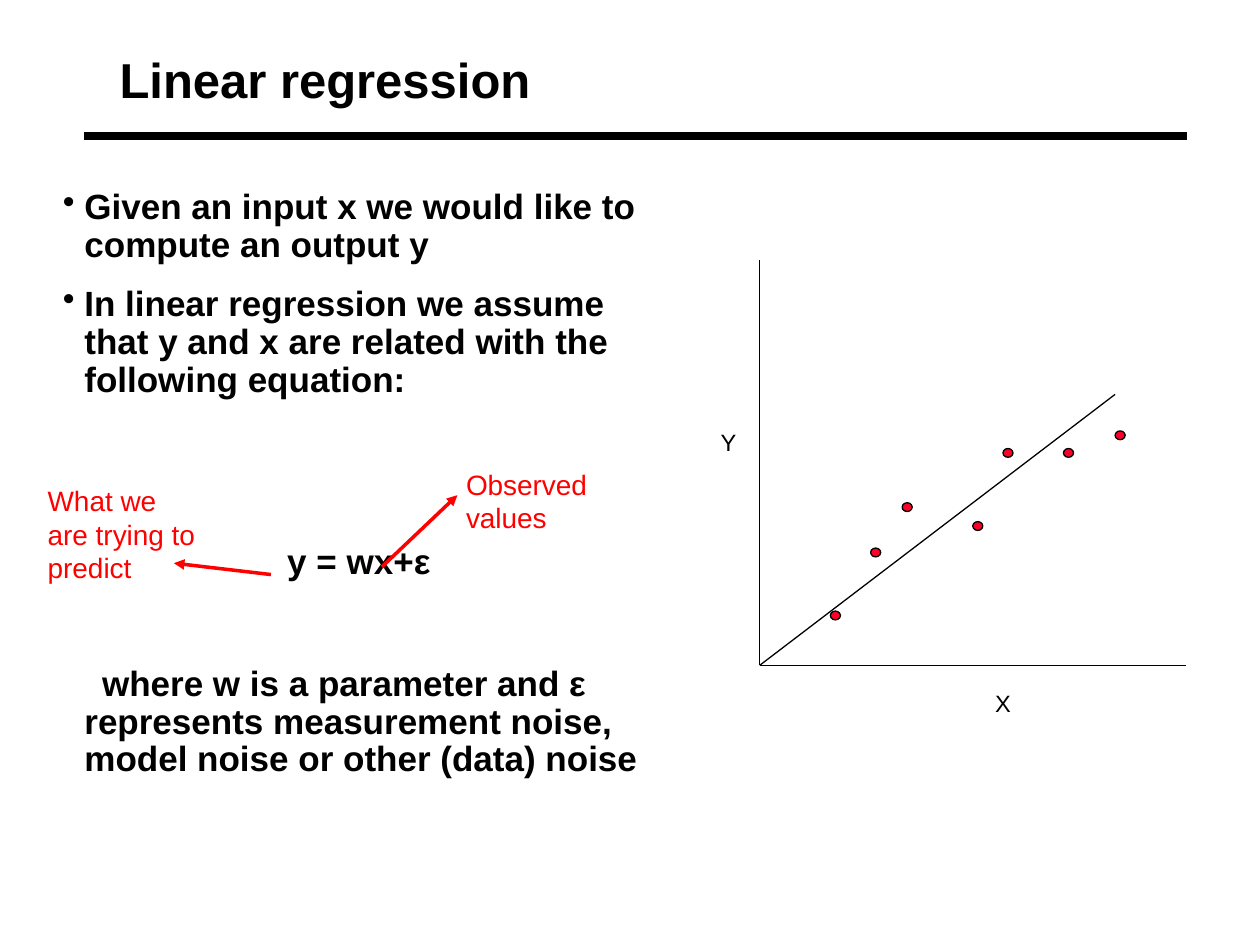
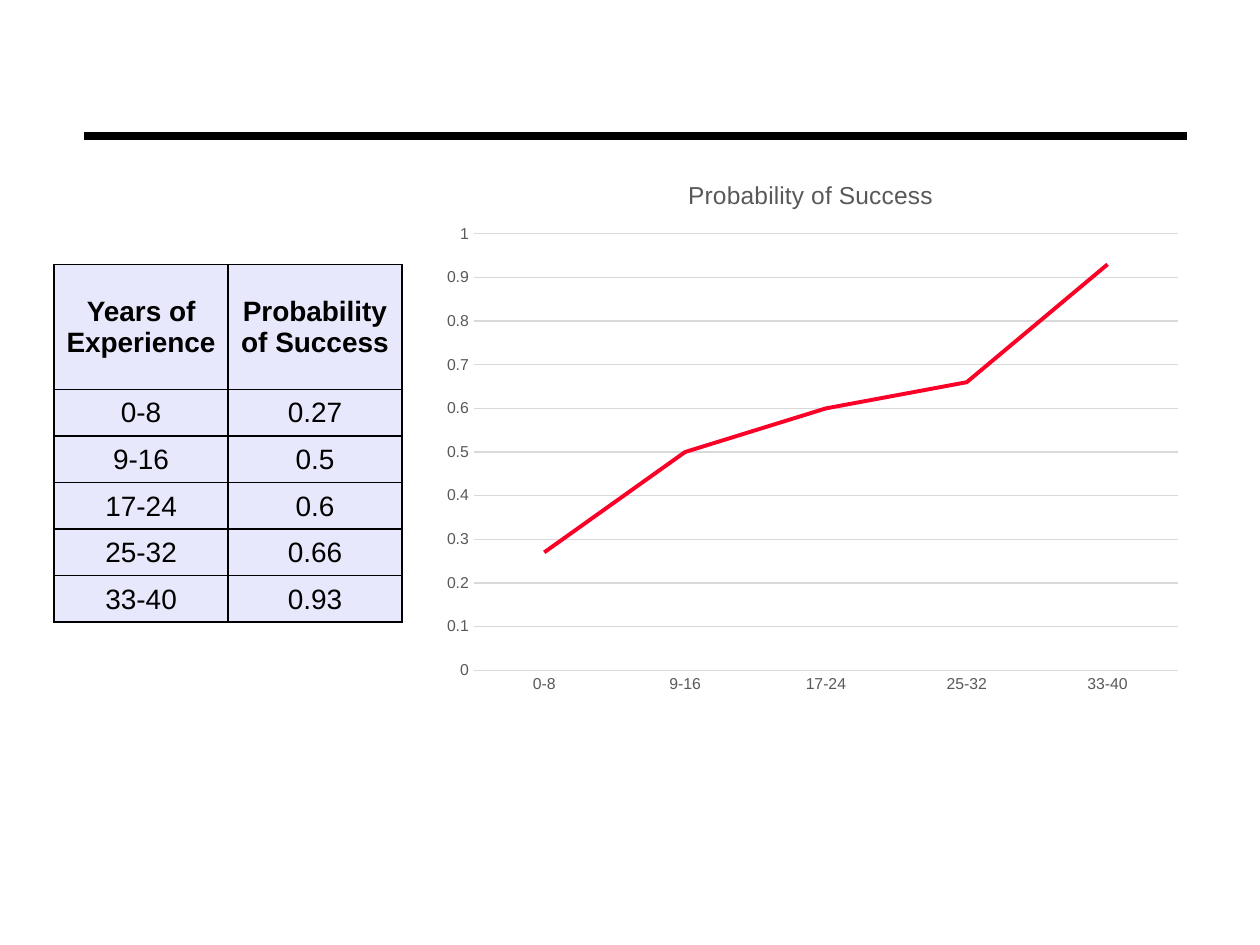
"""Build two slides on linear regression and probability of success."""
from dataclasses import dataclass
from typing import NamedTuple, Optional

from lxml.etree import SubElement
from pptx import Presentation
from pptx.chart.data import CategoryChartData
from pptx.dml.color import RGBColor
from pptx.enum.chart import XL_CHART_TYPE as ChartType, XL_TICK_MARK as TickMark
from pptx.enum.shapes import MSO_CONNECTOR as Connector, MSO_SHAPE as Shape
from pptx.enum.text import MSO_ANCHOR as Anchor, PP_ALIGN as Align
from pptx.oxml import parse_xml
from pptx.oxml.ns import nsdecls, qn
from pptx.util import Inches, Pt


@dataclass(frozen=True)
class Theme:
    font: str = "Arial"
    ink: str = "000000"
    note: str = "FF0000"
    accent: str = "FC0128"
    cell: str = "E7E8FB"
    muted: str = "595959"
    grid: str = "D9D9D9"
    title_size: float = 28
    body_size: float = 20
    note_size: float = 16
    axis_name_size: float = 13.5
    chart_title_size: float = 14
    tick_size: float = 9


class Line(NamedTuple):
    start: tuple[float, float]
    end: tuple[float, float]
    width: float = 0.75
    color: str = "000000"
    arrow: bool = False


class Label(NamedTuple):
    text: str
    box: tuple[float, float, float, float]
    size: float
    color: str
    bold: bool = False
    spacing: float = 1.0
    inset: tuple[float, float] = (0.1, 0.05)
    wrap: bool = True


class Point(NamedTuple):
    text: str
    before: float
    left: float = 0.17
    first_line: float = 0
    bullet: bool = False


class Experience(NamedTuple):
    years: str
    success: float


THEME = Theme()
HEADER_RULE = Line((0.67, 1.08), (9.42, 1.08), 4.5)
TITLE = Label("Linear regression", (0.88, 0.43, 3.44, 0.47), THEME.title_size,
              THEME.ink, True, 0.87, (0.07, 0.03), False)
BODY_BOX = (0.43, 1.47, 4.97, 4.8)
POINTS = (
    Point("Given an input x we would like to compute an output y", 0, first_line=-0.17, bullet=True),
    Point("In linear regression we assume that y and x are related with the following equation:",
          12.5, first_line=-0.17, bullet=True),
    Point("y = wx+ε", 82.5, left=1.78),
    Point("where w is a parameter and ε represents measurement noise, "
          "model noise or other (data) noise", 48, first_line=0.14),
)
ORIGIN = (6.03, 5.28)
PLOT_LINES = (
    Line(ORIGIN, (9.41, 5.28)),
    Line(ORIGIN, (6.03, 2.06)),
    Line(ORIGIN, (8.85, 3.13)),
)
OBSERVATIONS = ((6.59, 4.85), (6.91, 4.35), (7.16, 3.99), (7.72, 4.14),
                (7.96, 3.56), (8.44, 3.56), (8.85, 3.42))
DOT_SIZE = (0.08, 0.07)
LABELS = (
    Label("X", (7.8, 5.42, 0.48, 0.38), THEME.axis_name_size, THEME.ink),
    Label("Y", (5.62, 3.35, 0.48, 0.38), THEME.axis_name_size, THEME.ink),
    Label("What we are trying to predict", (0.28, 3.79, 1.42, 0.91), THEME.note_size, THEME.note),
    Label("Observed values", (3.6, 3.66, 1.62, 0.64), THEME.note_size, THEME.note),
)
NOTE_ARROWS = (
    Line((3.03, 4.5), (3.63, 3.93), 2, THEME.note, True),
    Line((2.15, 4.56), (1.38, 4.47), 2, THEME.note, True),
)
SUCCESS = "Probability of Success"
HEADINGS = ("Years of Experience", SUCCESS)
EXPERIENCES = (
    Experience("0-8", 0.27), Experience("9-16", 0.5), Experience("17-24", 0.6),
    Experience("25-32", 0.66), Experience("33-40", 0.93),
)
PLOT_AREA = {"x": 0.055, "y": 0.14, "w": 0.93, "h": 0.8}


def rgb(color: str) -> RGBColor:
    return RGBColor.from_string(color)


def inches(values: tuple) -> list:
    return [Inches(value) for value in values]


def style_font(font, size: float, color: str, bold: bool = False) -> None:
    font.name, font.size, font.bold = THEME.font, Pt(size), bold
    font.color.rgb = rgb(color)


def draw_line(slide, line: Line) -> None:
    connector = slide.shapes.add_connector(Connector.STRAIGHT, *inches(line.start + line.end))
    connector.line.color.rgb = rgb(line.color)
    connector.line.width = Pt(line.width)
    properties = connector._element.spPr
    if line.arrow:
        SubElement(properties.find(qn("a:ln")), qn("a:tailEnd"), type="triangle")
    SubElement(properties, qn("a:effectLst"))


def add_frame(slide, box: tuple, inset: tuple, wrap: bool = True):
    frame = slide.shapes.add_textbox(*inches(box)).text_frame
    frame.word_wrap = wrap
    frame.margin_left = frame.margin_right = Inches(inset[0])
    frame.margin_top = frame.margin_bottom = Inches(inset[1])
    return frame


def draw_label(slide, label: Label) -> None:
    frame = add_frame(slide, label.box, label.inset, label.wrap)
    frame.text = label.text
    paragraph = frame.paragraphs[0]
    paragraph.line_spacing = label.spacing
    style_font(paragraph.runs[0].font, label.size, label.color, label.bold)


def draw_points(slide, points: tuple[Point, ...]) -> None:
    frame = add_frame(slide, BODY_BOX, (0.07, 0.03))
    for index, point in enumerate(points):
        paragraph = frame.add_paragraph() if index else frame.paragraphs[0]
        paragraph.text = point.text
        paragraph.line_spacing = 0.9
        paragraph.space_before = Pt(point.before)
        style_font(paragraph.runs[0].font, THEME.body_size, THEME.ink, True)
        properties = paragraph._p.get_or_add_pPr()
        properties.set("marL", str(Inches(point.left)))
        properties.set("indent", str(Inches(point.first_line)))
        if point.bullet:
            SubElement(properties, qn("a:buChar"), char="•")


def draw_observation(slide, position: tuple[float, float]) -> None:
    dot = slide.shapes.add_shape(Shape.OVAL, *inches(position + DOT_SIZE))
    dot.shadow.inherit = False
    dot.fill.solid()
    dot.fill.fore_color.rgb = rgb(THEME.accent)
    dot.line.color.rgb = rgb(THEME.ink)
    dot.line.width = Pt(0.75)


def fill_cell(cell, text: str, bold: bool) -> None:
    cell.text = text
    cell.vertical_anchor = Anchor.MIDDLE
    cell.margin_left = cell.margin_right = cell.margin_top = Inches(0.01)
    cell.margin_bottom = 0
    paragraph = cell.text_frame.paragraphs[0]
    paragraph.alignment = Align.CENTER
    style_font(paragraph.runs[0].font, THEME.note_size, THEME.ink, bold)
    properties = cell._tc.get_or_add_tcPr()
    for side in ("lnL", "lnR", "lnT", "lnB"):
        border = SubElement(properties, qn(f"a:{side}"), w=str(Pt(1)))
        SubElement(SubElement(border, qn("a:solidFill")), qn("a:srgbClr"), val=THEME.ink)
    cell.fill.solid()
    cell.fill.fore_color.rgb = rgb(THEME.cell)


def draw_success_table(slide) -> None:
    rows = [HEADINGS] + [(item.years, f"{item.success:g}") for item in EXPERIENCES]
    table = slide.shapes.add_table(len(rows), 2, *inches((0.43, 2.1, 2.76, 2.84))).table
    table.horz_banding = False
    for column in table.columns:
        column.width = Inches(1.38)
    for index, texts in enumerate(rows):
        table.rows[index].height = Inches(0.37 if index else 0.99)
        for column, text in enumerate(texts):
            fill_cell(table.cell(index, column), text, bold=index == 0)


def place_plot_area(chart) -> None:
    plot_area = chart._chartSpace.chart.plotArea
    for layout in plot_area.findall(qn("c:layout")):
        plot_area.remove(layout)
    layout = parse_xml(f"<c:layout {nsdecls('c')}/>")
    manual = SubElement(layout, qn("c:manualLayout"))
    SubElement(manual, qn("c:layoutTarget"), val="inner")
    for side in ("x", "y"):
        SubElement(manual, qn(f"c:{side}Mode"), val="edge")
    for side, share in PLOT_AREA.items():
        SubElement(manual, qn(f"c:{side}"), val=str(share))
    plot_area.insert(0, layout)


def style_grey_line(line) -> None:
    line.color.rgb = rgb(THEME.grid)
    line.width = Pt(0.75)


def draw_success_chart(slide) -> None:
    data = CategoryChartData()
    data.categories = [item.years for item in EXPERIENCES]
    data.add_series("Series 1", [item.success for item in EXPERIENCES])
    chart = slide.shapes.add_chart(ChartType.LINE, *inches((3.43, 1.25, 6.01, 4.33)), data).chart
    style_font(chart.font, 10, THEME.ink)
    chart.has_legend = False
    chart.has_title = True
    heading = chart.chart_title.text_frame
    heading.text = SUCCESS
    style_font(heading.paragraphs[0].runs[0].font, THEME.chart_title_size, THEME.muted)
    years, success = chart.category_axis, chart.value_axis
    for axis in (years, success):
        axis.major_tick_mark = axis.minor_tick_mark = TickMark.NONE
        style_font(axis.tick_labels.font, THEME.tick_size, THEME.muted)
    style_grey_line(years.format.line)
    success.format.line.fill.background()
    success.minimum_scale, success.maximum_scale, success.major_unit = 0, 1, 0.1
    success.tick_labels.number_format = "General"
    success.tick_labels.number_format_is_linked = False
    style_grey_line(success.major_gridlines.format.line)
    chart.plots[0].vary_by_categories = False
    series = chart.plots[0].series[0]
    series.smooth = False
    series.format.line.color.rgb = rgb(THEME.accent)
    series.format.line.width = Pt(2.25)
    place_plot_area(chart)


def add_ruled_slide(deck, title: Optional[Label] = None):
    slide = deck.slides.add_slide(deck.slide_layouts[6])
    draw_line(slide, HEADER_RULE)
    if title:
        draw_label(slide, title)
    return slide


def build_regression(deck) -> None:
    slide = add_ruled_slide(deck, TITLE)
    draw_points(slide, POINTS)
    for line in PLOT_LINES:
        draw_line(slide, line)
    for position in OBSERVATIONS:
        draw_observation(slide, position)
    for label in LABELS:
        draw_label(slide, label)
    for arrow in NOTE_ARROWS:
        draw_line(slide, arrow)


def build_success(deck) -> None:
    slide = add_ruled_slide(deck)
    draw_success_table(slide)
    draw_success_chart(slide)


def main() -> None:
    deck = Presentation()
    deck.slide_width, deck.slide_height = Inches(10), Inches(7.5)
    build_regression(deck)
    build_success(deck)
    deck.save("out.pptx")


if __name__ == "__main__":
    main()
